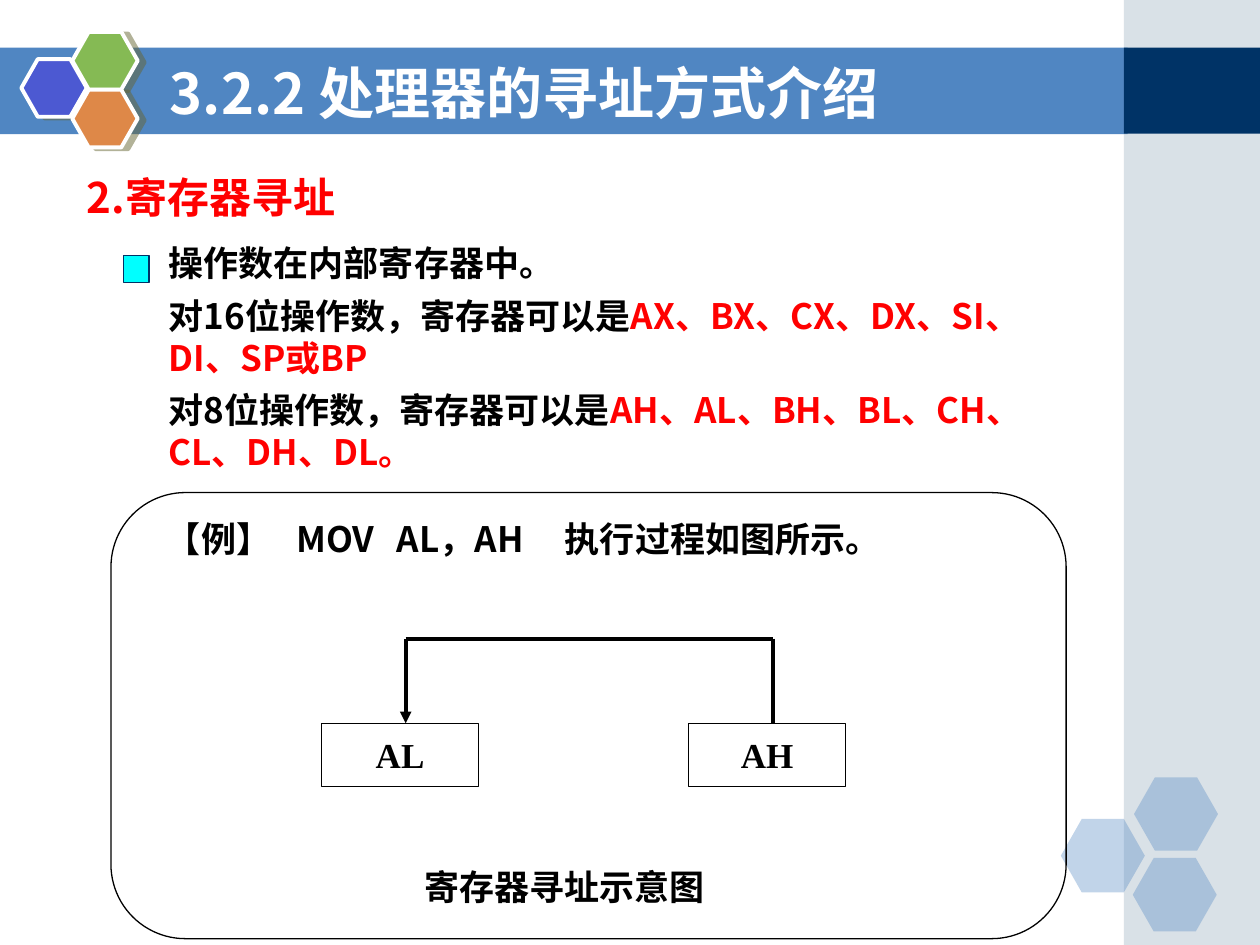
from dataclasses import dataclass

from lxml import etree
from pptx import Presentation, util as u
from pptx.dml.color import RGBColor
from pptx.enum import shapes as sh, text as tx
from pptx.oxml.ns import qn

Pt = u.Pt


@dataclass(frozen=True)
class Theme:
    sans: str = "Noto Sans CJK SC"
    serif: str = "Times New Roman"
    title: int = 32
    heading: int = 24
    body: int = 20
    leading: float = 1.2
    white: str = "FFFFFF"
    black: str = "000000"
    red: str = "FF0000"
    blue: str = "5086C2"
    navy: str = "003366"
    stripe: str = "A0B5C4"
    cyan: str = "00FFFF"
    shadow: str = "666633"


T = Theme()

# Content: each paragraph is a list of (text, colour) runs
TITLE = [[("3.2.2 处理器的寻址方式介绍", T.white)]]
HEADING = [[("2.寄存器寻址", T.red)]]
RULES = [
    [("操作数在内部寄存器中。", T.black)],
    [("对16位操作数，寄存器可以是", T.black),
     ("AX、BX、CX、DX、SI、DI、SP或BP", T.red)],
    [("对8位操作数，寄存器可以是", T.black),
     ("AH、AL、BH、BL、CH、CL、DH、DL。", T.red)],
]
EXAMPLE = [[("【例】\tMOV\tAL，AH\t执行过程如图所示。", T.black)]]
EXAMPLE_TABS = (74.5, 132, 228)
CAPTION = [[("寄存器寻址示意图", T.black)]]
REGISTERS = ("AL", "AH")

# Decoration: (left, top, colour)
LOGO_CELLS = [(12.2, 33.8, "4C59D2"), (41.3, 18.2, "85BA54"), (41.3, 51.3, "DE8848")]
CORNER_CELLS = [(606.2, 468), (648, 444.2), (647.3, 490.3)]

prs = Presentation()
prs.slide_width, prs.slide_height = Pt(720), Pt(540)
slide = prs.slides.add_slide(prs.slide_layouts[6])


def rgb(value):
    return RGBColor.from_string(value)


def add_box(kind, left, top, width, height, fill=None, line=None, weight=0.75, alpha=None):
    shape = slide.shapes.add_shape(kind, Pt(left), Pt(top), Pt(width), Pt(height))
    shape.shadow.inherit = False
    if fill:
        shape.fill.solid()
        shape.fill.fore_color.rgb = rgb(fill)
    else:
        shape.fill.background()
    if alpha:
        colour = shape.fill._xPr.find(".//" + qn("a:srgbClr"))
        etree.SubElement(colour, qn("a:alpha"), val=str(alpha * 1000))
    if line:
        shape.line.color.rgb = rgb(line)
        shape.line.width = Pt(weight)
    else:
        shape.line.fill.background()
    return shape


def add_hexagon(left, top, width, height, **style):
    hexagon = add_box(sh.MSO_SHAPE.HEXAGON, left, top, width, height, **style)
    hexagon.adjustments[0] = 0.285
    return hexagon


def drop_shadow(shape):
    effects = shape._element.spPr.find(qn("a:effectLst"))
    outer = etree.SubElement(effects, qn("a:outerShdw"), blurRad="0", dist=str(Pt(4.1)),
                             dir=str(14 * 60000), algn="ctr", rotWithShape="0")
    colour = etree.SubElement(outer, qn("a:srgbClr"), val=T.shadow)
    etree.SubElement(colour, qn("a:alpha"), val="50000")


def write(shape, paragraphs, size, face=T.sans, gap=0, tabs=(), align=tx.PP_ALIGN.LEFT,
          anchor=tx.MSO_ANCHOR.TOP, wrap=True):
    frame = shape.text_frame
    frame.word_wrap = wrap
    frame.vertical_anchor = anchor
    for i, runs in enumerate(paragraphs):
        para = frame.add_paragraph() if i else frame.paragraphs[0]
        para.alignment = align
        para.line_spacing = Pt(size * T.leading)
        para.space_before = Pt(gap if i else 0)
        if tabs:
            stops = etree.SubElement(para._p.get_or_add_pPr(), qn("a:tabLst"))
            for stop in tabs:
                etree.SubElement(stops, qn("a:tab"), pos=str(Pt(stop)), algn="l")
        for words, colour in runs:
            run = para.add_run()
            run.text = words
            run.font.size, run.font.bold, run.font.name = Pt(size), True, face
            run.font.color.rgb = rgb(colour)
            etree.SubElement(run._r.get_or_add_rPr(), qn("a:ea"), typeface=face)


def add_text(left, top, width, height, paragraphs, size, **style):
    label = slide.shapes.add_textbox(Pt(left), Pt(top), Pt(width), Pt(height))
    write(label, paragraphs, size, **style)


def add_line(x1, y1, x2, y2, arrow=False):
    line = slide.shapes.add_connector(sh.MSO_CONNECTOR.STRAIGHT, Pt(x1), Pt(y1), Pt(x2), Pt(y2))
    line.line.color.rgb = rgb(T.black)
    line.line.width = Pt(2.25)
    if arrow:
        etree.SubElement(line.line._get_or_add_ln(), qn("a:tailEnd"), type="triangle")
    etree.SubElement(line._element.spPr, qn("a:effectLst"))


RECT = sh.MSO_SHAPE.RECTANGLE
MIDDLE = tx.MSO_ANCHOR.MIDDLE

# Title band and side stripe
add_box(RECT, 0, 27.2, 644.4, 49.5, fill=T.blue)
add_box(RECT, 642.2, 0, 77.8, 540, fill=T.stripe, alpha=40)
add_box(RECT, 642.2, 27.2, 77.8, 49.2, fill=T.navy)

# Hexagon clusters
for left, top in CORNER_CELLS:
    add_hexagon(left, top, 48, 42, fill=T.blue, alpha=35)
for left, top, colour in LOGO_CELLS:
    drop_shadow(add_hexagon(left, top, 37.4, 33, fill=colour, line=T.white, weight=2.25))

# Title, heading and rules
add_text(90, 30.2, 528, 44.6, TITLE, T.title, anchor=MIDDLE)
add_text(42.5, 94.3, 162, 36, HEADING, T.heading, anchor=MIDDLE)
add_text(89.3, 134.6, 528, 139.7, RULES, T.body, gap=6)
add_box(RECT, 70.6, 146, 14.6, 15.3, fill=T.cyan, line=T.navy)

# Register boxes, with the transfer path running above them
BOX_LEFT, BOX_TOP, BOX_W, BOX_H, PITCH = 183.6, 413.3, 90, 36, 209.7
for i, register in enumerate(REGISTERS):
    box = add_box(RECT, BOX_LEFT + i * PITCH, BOX_TOP, BOX_W, BOX_H, line=T.black)
    write(box, [[(register, T.black)]], T.body, face=T.serif,
          align=tx.PP_ALIGN.CENTER, anchor=MIDDLE, wrap=False)
path_y, target_x = 365, 231.8
source_x = target_x + PITCH
add_line(target_x, path_y, target_x, BOX_TOP, arrow=True)
add_line(source_x, path_y, source_x, BOX_TOP)
add_line(target_x, path_y, source_x, path_y)

# Example frame with its sentence and caption
add_text(235.4, 491, 185, 31.7, CAPTION, T.body)
add_text(87.8, 292.3, 480.2, 31.7, EXAMPLE, T.body, tabs=EXAMPLE_TABS)
add_box(sh.MSO_SHAPE.FLOWCHART_ALTERNATE_PROCESS, 63.4, 281.5, 545.8, 254.9, line=T.black)

prs.save("out.pptx")
